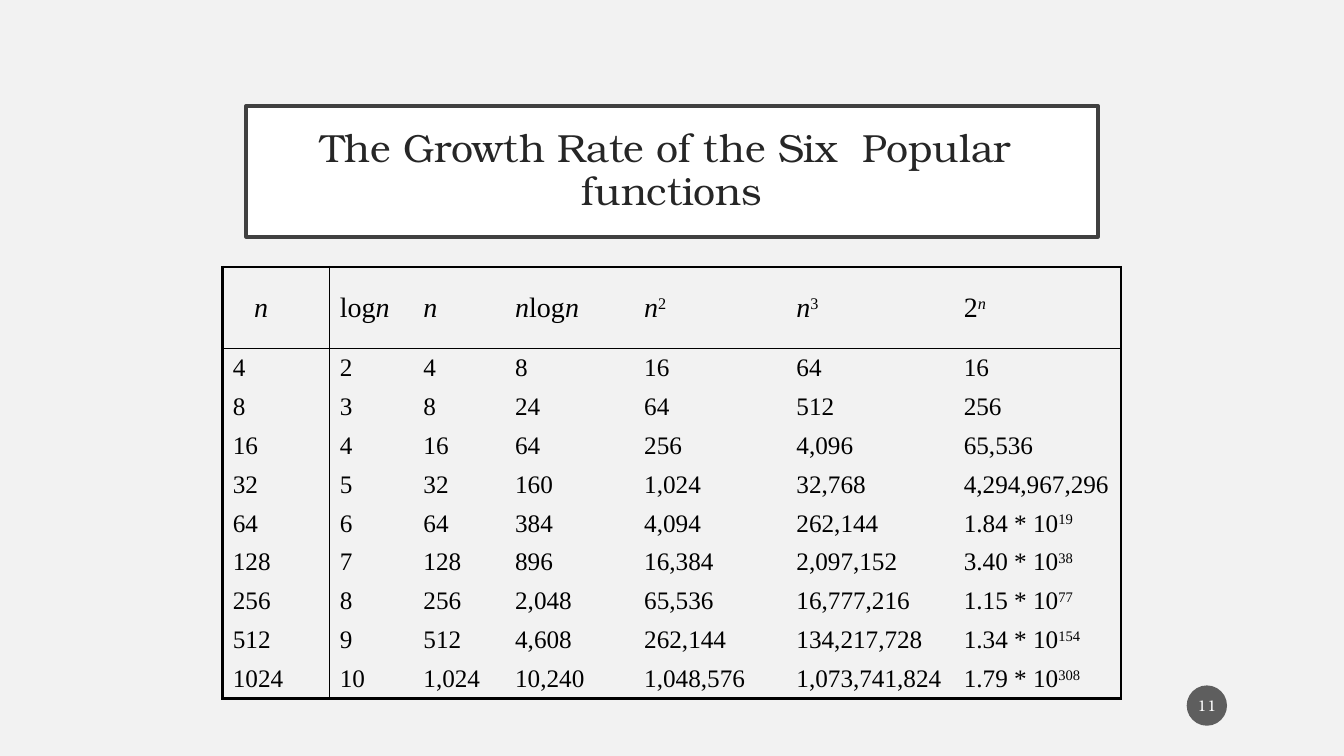
from lxml import etree
from pptx import Presentation, util as u
from pptx.dml.color import RGBColor
from pptx.enum import shapes, text
from pptx.oxml import ns

HUES = {"back": "F2F2F2", "white": "FFFFFF", "frame": "404040",
        "title": "262626", "badge": "1D1D1D", "ink": "000000"}
SERIF = "TeX Gyre Bonum"


def style(run, hue, **looks):
    """Set the colour and the given font values of a run."""
    run.font.color.rgb = RGBColor.from_string(HUES[hue])
    for key, value in looks.items():
        setattr(run.font, key, value)


def edge(cell, side, width):
    """Draw one cell border, or clear it when the width is 0."""
    line = etree.SubElement(cell._tc.get_or_add_tcPr(), ns.qn("a:ln" + side))
    line.set("w", str(u.Pt(width)))
    if width:
        fill = etree.SubElement(line, ns.qn("a:solidFill"))
        etree.SubElement(fill, ns.qn("a:srgbClr"), val=HUES["ink"])
    else:
        etree.SubElement(line, ns.qn("a:noFill"))


deck = Presentation()
deck.slide_width, deck.slide_height = u.Inches(13.33), u.Inches(7.5)
slide = deck.slides.add_slide(deck.slide_layouts[5])
slide.background.fill.solid()
slide.background.fill.fore_color.rgb = RGBColor.from_string(HUES["back"])

# Title and page number
title = slide.shapes.title
badge = slide.shapes.add_shape(shapes.MSO_SHAPE.OVAL, 0, 0, 0, 0)
badge.shadow.inherit = False
badge.line.fill.background()
title.line.color.rgb = RGBColor.from_string(HUES["frame"])
title.line.width = u.Pt(2.5)

labels = [
    (title, "The Growth Rate of the Six  Popular  functions", (2.44, 1.05, 8.45, 1.3),
     (0.2, 0.2), "white", "title", 28),
    (badge, "11", (11.77, 6.8, 0.4, 0.4), (0.02, 0.05), "badge", "white", 11),
]
for shape, words, place, (side, top), fill, hue, size in labels:
    for key, value in zip(("left", "top", "width", "height"), place):
        setattr(shape, key, u.Inches(value))
    shape.fill.solid()
    shape.fill.fore_color.rgb = RGBColor.from_string(HUES[fill])
    frame = shape.text_frame
    looks = {"margin_left": u.Inches(side), "margin_right": u.Inches(side),
             "margin_top": u.Inches(top), "margin_bottom": u.Inches(top),
             "word_wrap": True, "auto_size": text.MSO_AUTO_SIZE.NONE,
             "vertical_anchor": text.MSO_ANCHOR.MIDDLE}
    for key, value in looks.items():
        setattr(frame, key, value)
    para = frame.paragraphs[0]
    para.alignment = text.PP_ALIGN.CENTER
    run = para.add_run()
    run.text = words
    style(run, hue, name=SERIF, size=u.Pt(size))
title.text_frame.paragraphs[0].line_spacing = 0.9
tint = badge.fill._xPr.find(".//" + ns.qn("a:srgbClr"))
etree.SubElement(tint, ns.qn("a:alpha"), val="69000")

# Growth table: "|" parts the runs, "^" raises one, and n is italic
rows = [
    ["n", "log|n", "n", "n|log|n", "n|^2", "n|^3", "2|^n"],
    ["4", "2", "4", "8", "16", "64", "16"],
    ["8", "3", "8", "24", "64", "512", "256"],
    ["16", "4", "16", "64", "256", "4,096", "65,536"],
    ["32", "5", "32", "160", "1,024", "32,768", "4,294,967,296"],
    ["64", "6", "64", "384", "4,094", "262,144", "1.84 * 10|^19"],
    ["128", "7", "128", "896", "16,384", "2,097,152", "3.40 * 10|^38"],
    ["256", "8", "256", "2,048", "65,536", "16,777,216", "1.15 * 10|^77"],
    ["512", "9", "512", "4,608", "262,144", "134,217,728", "1.34 * 10|^154"],
    ["1024", "10", "1,024", "10,240", "1,048,576", "1,073,741,824", "1.79 * 10|^308"],
]
widths = [1.06, 0.83, 0.91, 1.28, 1.51, 1.66, 1.66]
last_row, last_col = len(rows) - 1, len(widths) - 1
grid = slide.shapes.add_table(len(rows), len(widths), u.Inches(2.21), u.Inches(2.65),
                              u.Inches(sum(widths)), u.Inches(4.28)).table
grid.first_row = grid.horz_banding = False
for col, width in zip(grid.columns, widths):
    col.width = u.Inches(width)

for r, row in enumerate(rows):
    grid.rows[r].height = u.Inches(0.81) if r == 0 else u.Inches(3.47) // last_row
    for c, words in enumerate(row):
        cell = grid.cell(r, c)
        cell.vertical_anchor = text.MSO_ANCHOR.MIDDLE
        cell.margin_left = u.Inches(0.31 if r == c == 0 else 0.1)
        edge(cell, "L", {0: 2.25, 1: 1}.get(c, 0))
        edge(cell, "R", {0: 1, last_col: 2.25}.get(c, 0))
        edge(cell, "T", {0: 2.25, 1: 1}.get(r, 0))
        edge(cell, "B", {0: 1, last_row: 2.25}.get(r, 0))
        cell.fill.background()
        for part in words.split("|"):
            run = cell.text_frame.paragraphs[0].add_run()
            run.text = part.lstrip("^")
            style(run, "ink", name="Times New Roman", size=u.Pt(18 if r else 20),
                  italic=run.text == "n")
            if part.startswith("^"):
                run._r.get_or_add_rPr().set("baseline", "30000")

deck.save("out.pptx")
